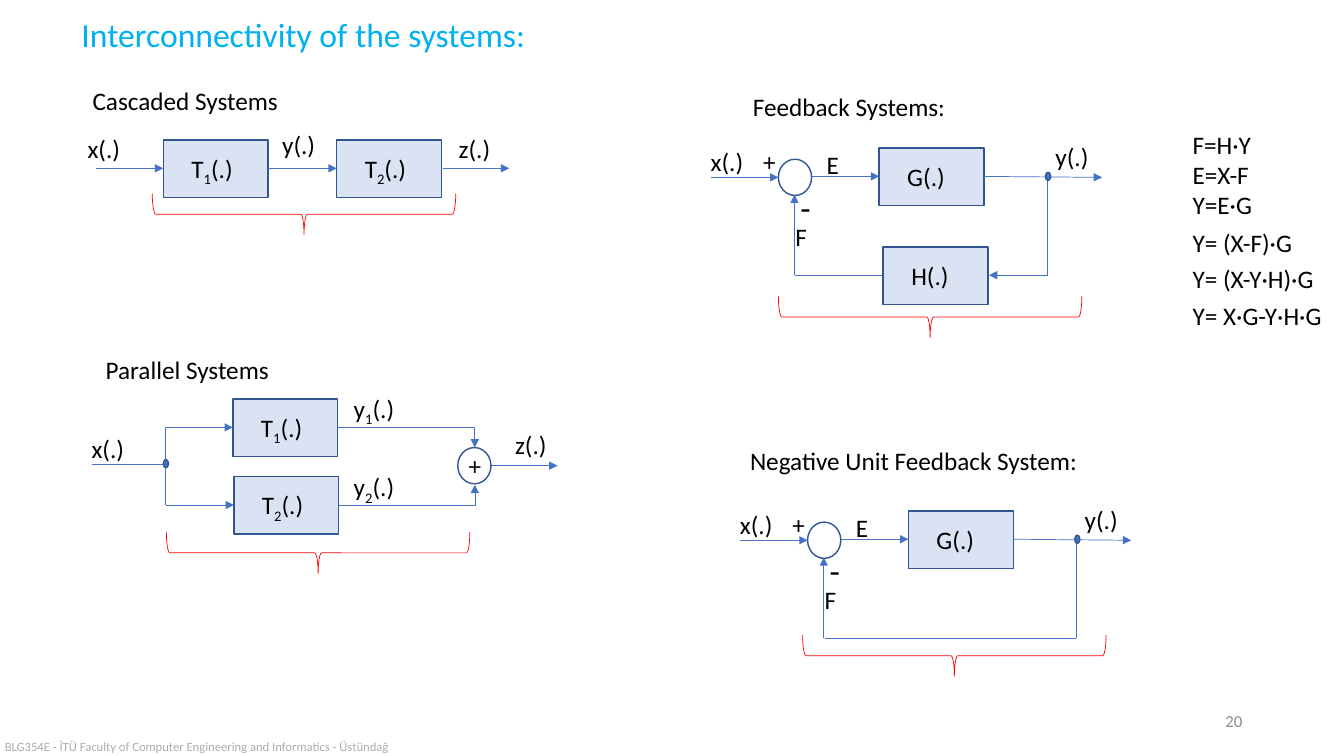
"""Builds a slide of block diagrams for cascaded, parallel and feedback systems."""
from lxml.etree import SubElement
from pptx import Presentation
from pptx.dml.color import RGBColor
from pptx.enum.shapes import MSO_CONNECTOR as Link, MSO_SHAPE as Form
from pptx.enum.text import MSO_ANCHOR as Anchor, MSO_AUTO_SIZE as Fit, PP_ALIGN as Align
from pptx.oxml.ns import qn
from pptx.util import Cm, Pt

BLACK = RGBColor(0x00, 0x00, 0x00)
TITLE_BLUE = RGBColor(0x00, 0xB0, 0xF0)
WIRE_BLUE = RGBColor(0x44, 0x72, 0xC4)
EDGE_BLUE = RGBColor(0x32, 0x54, 0x91)
BLOCK_BLUE = RGBColor(0xDA, 0xE3, 0xF3)
RED = RGBColor(0xFF, 0x00, 0x00)
NUMBER_GREY = RGBColor(0x8C, 0x8C, 0x8C)
FOOTER_GREY = RGBColor(0xAF, 0xAB, 0xAB)

CM_PER_INCH = 2.54
BLOCK_WIDTH, BLOCK_HEIGHT = 1.04, 0.57
RING_WIDTH, RING_HEIGHT = 0.33, 0.36
DOT_WIDTH, DOT_HEIGHT = 0.05, 0.08
BRACE_WIDTH, BRACE_HEIGHT = 3.01, 0.41
LABEL_HEIGHT = 0.4

# Places are inches: left, top, and width where it varies.
HEADINGS = [
    ("Cascaded Systems", 0.82, 0.8, 2.06),
    ("Parallel Systems", 0.95, 3.47, 1.84),
    ("Feedback Systems:", 7.37, 0.86, 2.13),
    ("Negative Unit Feedback System:", 7.34, 4.37, 3.48),
]
SIGNALS = [
    ("x(.)", 0.77, 1.27, 0.53), ("y(.)", 2.7, 1.23, 0.53), ("z(.)", 4.45, 1.27, 0.52),
    ("x(.)", 0.81, 4.25, 0.53), ("z(.)", 5.01, 4.21, 0.52), ("+", 4.55, 4.42, 0.33),
    ("y_1(.)", 3.41, 3.85, 0.62), ("y_2(.)", 3.41, 4.63, 0.62),
]
BLOCKS = [
    ("T_1(.)", 1.62, 1.39), ("T_2(.)", 3.34, 1.39),
    ("T_1(.)", 2.31, 3.96), ("T_2(.)", 2.32, 4.73),
    ("H(.)", 8.76, 2.45),
]
ARROWS = [
    (0.95, 1.67, 1.62, 1.67), (2.66, 1.67, 3.34, 1.67), (4.39, 1.67, 5.05, 1.67),
    (1.64, 4.24, 2.31, 4.24), (1.65, 5.01, 2.32, 5.01), (4.87, 4.62, 5.53, 4.62),
    (10.39, 2.73, 9.81, 2.73),
]
BENT_ARROWS = [(3.35, 4.24, 4.71, 4.44), (3.36, 5.01, 4.71, 4.81)]
WIRES = [
    (1.64, 4.24, 1.64, 5.01), (0.91, 4.61, 1.65, 4.61), (7.89, 2.73, 8.76, 2.73),
    (8.18, 6.33, 10.67, 6.33),
]
BRACES = [(1.51, 1.92), (1.65, 5.28), (7.72, 2.94), (7.96, 6.3)]
EQUATIONS = [
    ("F=H·Y\nE=X-F\nY=E·G", 1.23, 0.89, 1.01),
    ("Y= (X-F)·G", 2.21, 1.24, LABEL_HEIGHT),
    ("Y= (X-Y·H)·G", 2.56, 1.67, LABEL_HEIGHT),
    ("Y= X·G-Y·H·G", 2.93, 1.67, LABEL_HEIGHT),
]
EQUATION_LEFT = 11.73

LOOP_SHIFTS = [(0, 0), (0.29, 3.6)]
LOOP_SIGNALS = [
    ("x(.)", 6.95, 1.4, 0.53), ("+", 7.47, 1.4, 0.33), ("E", 8.1, 1.43, 0.32),
    ("y(.)", 10.37, 1.35, 0.53), ("F", 7.79, 2.15, 0.3),
]
LOOP_ARROWS = [
    (7.05, 1.76, 7.72, 1.76), (8.05, 1.75, 8.72, 1.75),
    (9.76, 1.75, 10.93, 1.76), (7.88, 2.73, 7.88, 1.93),
]

deck = Presentation()


def lengths(*inches):
    return [Cm(value * CM_PER_INCH) for value in inches]


deck.slide_width, deck.slide_height = lengths(13.33, 7.5)
page = deck.slides.add_slide(deck.slide_layouts[6])


def write(text, left, top, width, height=LABEL_HEIGHT, size=18, color=BLACK,
          wrap=False, align=Align.LEFT, anchor=Anchor.TOP, fit=Fit.SHAPE_TO_FIT_TEXT):
    box = page.shapes.add_textbox(*lengths(left, top, width, height))
    frame = box.text_frame
    frame.word_wrap, frame.auto_size, frame.vertical_anchor = wrap, fit, anchor
    for index, line in enumerate(text.split("\n")):
        para = frame.add_paragraph() if index else frame.paragraphs[0]
        para.alignment = align
        base, _, rest = line.partition("_")
        for piece, offset in ((base, 0), (rest[:1], -25000), (rest[1:], 0)):
            if not piece:
                continue
            span = para.add_run()
            span.text = piece
            span.font.name, span.font.size = "Calibri", Pt(size)
            span.font.color.rgb = color
            if offset:
                span.font._element.set("baseline", str(offset))


def draw(form, left, top, width, height, fill=None, line=EDGE_BLUE, weight=1, turn=0):
    shape = page.shapes.add_shape(form, *lengths(left, top, width, height))
    shape.shadow.inherit = False
    shape.rotation = turn
    if fill is None:
        shape.fill.background()
    else:
        shape.fill.solid()
        shape.fill.fore_color.rgb = fill
    shape.line.color.rgb, shape.line.width = line, Pt(weight)


def connect(*ends, arrow=True, bent=False):
    kind = Link.ELBOW if bent else Link.STRAIGHT
    wire = page.shapes.add_connector(kind, *lengths(*ends))
    wire.line.color.rgb, wire.line.width = WIRE_BLUE, Pt(0.5)
    properties = wire._element.spPr
    if bent:
        properties.find(qn("a:prstGeom")).set("prst", "bentConnector2")
    if arrow:
        SubElement(properties.find(qn("a:ln")), qn("a:tailEnd"), type="triangle")
    SubElement(properties, qn("a:effectLst"))


def block(text, left, top):
    draw(Form.RECTANGLE, left, top, BLOCK_WIDTH, BLOCK_HEIGHT, fill=BLOCK_BLUE)
    write(text, left + 0.18, top + 0.08, 0.7, wrap=True)


def ring(left, top):
    draw(Form.OVAL, left, top, RING_WIDTH, RING_HEIGHT)


def dot(left, top):
    draw(Form.OVAL, left, top, DOT_WIDTH, DOT_HEIGHT, fill=WIRE_BLUE)


def brace(left, top):
    inset = (BRACE_WIDTH - BRACE_HEIGHT) / 2
    draw(Form.RIGHT_BRACE, left + inset, top - inset, BRACE_HEIGHT, BRACE_WIDTH,
         line=RED, weight=0.5, turn=90)


def feedback_loop(right, down):
    block("G(.)", 8.72 + right, 1.47 + down)
    ring(7.72 + right, 1.58 + down)
    for left, top, end_left, end_top in LOOP_ARROWS:
        connect(left + right, top + down, end_left + right, end_top + down)
    connect(10.39 + right, 2.73 + down, 10.39 + right, 1.75 + down, arrow=False)
    dot(10.37 + right, 1.71 + down)
    for text, left, top, width in LOOP_SIGNALS:
        write(text, left + right, top + down, width)
    write("-", 7.84 + right, 1.81 + down, 0.31, 0.5, size=24)


write("20", 9.42, 6.95, 3, size=12, color=NUMBER_GREY, wrap=True,
      align=Align.RIGHT, anchor=Anchor.MIDDLE, fit=Fit.NONE)
write("Interconnectivity of the systems:", 0.71, 0.09, 4.65, 0.5, size=24, color=TITLE_BLUE)
for item in BLOCKS:
    block(*item)
for ends in ARROWS:
    connect(*ends)
for ends in BENT_ARROWS:
    connect(*ends, bent=True)
for ends in WIRES:
    connect(*ends, arrow=False)
ring(4.54, 4.44)
dot(1.62, 4.56)
for shift in LOOP_SHIFTS:
    feedback_loop(*shift)
for corner in BRACES:
    brace(*corner)
for item in HEADINGS + SIGNALS:
    write(*item)
for text, top, width, height in EQUATIONS:
    write(text, EQUATION_LEFT, top, width, height, wrap=True)
write("BLG354E - İTÜ Faculty of Computer Engineering and Informatics - Üstündağ",
      -0.05, 7.28, 6.67, 0.25, size=9, color=FOOTER_GREY, wrap=True)
deck.save("out.pptx")
